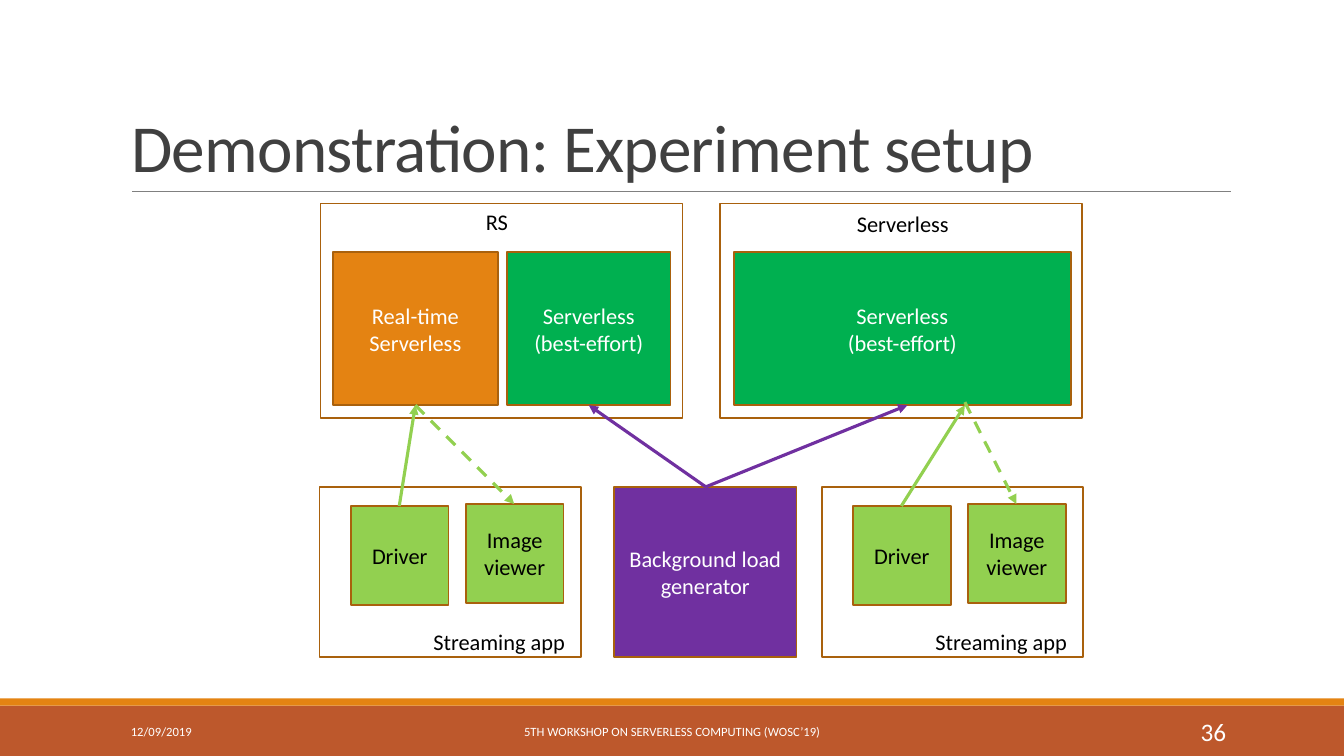
"""Build the slide that shows the experiment setup of the serverless demonstration."""
import dataclasses

import lxml.etree
import pptx
import pptx.dml.color
import pptx.enum.dml
import pptx.enum.shapes
import pptx.enum.text
import pptx.oxml.ns
import pptx.util

Inches = pptx.util.Inches
Align = pptx.enum.text.PP_ALIGN
Anchor = pptx.enum.text.MSO_ANCHOR


@dataclasses.dataclass(frozen=True)
class Theme:
    """Colours, font and type sizes of the slide."""
    font: str = "Calibri"
    white: str = "FFFFFF"
    black: str = "000000"
    ink: str = "404040"
    gray: str = "808080"
    rust: str = "BD582C"
    orange: str = "E48312"
    brown: str = "A9610D"
    green: str = "00B050"
    lime: str = "92D050"
    purple: str = "7030A0"
    head: float = 48
    page: float = 18
    label: float = 16
    foot: float = 9


def shade(code):
    """Turn a hex code into a colour."""
    return pptx.dml.color.RGBColor.from_string(code)


class Canvas:
    """Hold the theme and the current slide, and draw on it."""

    def __init__(self, theme, slide):
        """Keep the theme and the slide."""
        self.theme = theme
        self.slide = slide

    def letter(self, frame, text, size, color, align, anchor):
        """Put formatted text into a frame."""
        frame.text = text
        frame.vertical_anchor = anchor
        for line in frame.paragraphs:
            line.alignment = align
            for run in line.runs:
                run.font.name = self.theme.font
                run.font.size = pptx.util.Pt(size)
                run.font.color.rgb = shade(color)

    def title(self, text, left, top, width, height):
        """Place and format the title."""
        holder = self.slide.shapes.title
        holder.left, holder.top = Inches(left), Inches(top)
        holder.width, holder.height = Inches(width), Inches(height)
        frame = holder.text_frame
        self.letter(frame, text, self.theme.head, self.theme.ink, Align.LEFT, Anchor.BOTTOM)
        frame.auto_size = pptx.enum.text.MSO_AUTO_SIZE.NONE
        line = frame.paragraphs[0]
        line.line_spacing = 0.85
        line.runs[0].font._element.set("spc", "-50")

    def box(self, left, top, width, height, fill=None, edge=None, text="", color=None):
        """Draw a rectangle, with centred text if any is given."""
        shape = self.slide.shapes.add_shape(
            pptx.enum.shapes.MSO_SHAPE.RECTANGLE,
            Inches(left), Inches(top), Inches(width), Inches(height))
        shape.shadow.inherit = False
        if fill:
            shape.fill.solid()
            shape.fill.fore_color.rgb = shade(fill)
        else:
            shape.fill.background()
        if edge:
            shape.line.color.rgb = shade(edge)
            shape.line.width = pptx.util.Pt(1.25)
        else:
            shape.line.fill.background()
        if text:
            self.letter(shape.text_frame, text, self.theme.label,
                        color or self.theme.white, Align.CENTER, Anchor.MIDDLE)

    def label(self, text, left, top, width, height, size=None, color=None,
              align=Align.LEFT, anchor=Anchor.TOP, wrap=False):
        """Add a text box."""
        frame = self.slide.shapes.add_textbox(
            Inches(left), Inches(top), Inches(width), Inches(height)).text_frame
        frame.word_wrap = wrap
        self.letter(frame, text, size or self.theme.label,
                    color or self.theme.black, align, anchor)

    def line(self, start, end, color, weight=2.25, arrow=True, dashed=False):
        """Draw a straight line, with an arrowhead at its end by default."""
        link = self.slide.shapes.add_connector(
            pptx.enum.shapes.MSO_CONNECTOR.STRAIGHT,
            *(Inches(value) for value in (*start, *end)))
        link.line.color.rgb = shade(color)
        link.line.width = pptx.util.Pt(weight)
        if dashed:
            link.line.dash_style = pptx.enum.dml.MSO_LINE.DASH
        qn = pptx.oxml.ns.qn
        if arrow:
            lxml.etree.SubElement(link.line._get_or_add_ln(), qn("a:tailEnd"), type="triangle")
        lxml.etree.SubElement(link._element.spPr, qn("a:effectLst"))


def frame(canvas):
    """Draw the title, its rule and the footer."""
    theme = canvas.theme
    canvas.box(0, 7, 13.33, 0.5, theme.rust)
    canvas.box(0, 6.93, 13.33, 0.07, theme.orange)
    canvas.line((1.31, 1.9), (12.21, 1.9), theme.gray, 0.5, arrow=False)
    canvas.title("Demonstration: Experiment setup", 1.2, 0.31, 11, 1.59)
    for text, left, width, size, align in (
            ("12/09/2019", 1.2, 2.7, theme.foot, Align.LEFT),
            ("5TH WORKSHOP ON SERVERLESS COMPUTING (WOSC’19)", 4.03, 5.27,
             theme.foot, Align.CENTER),
            ("36", 10.83, 1.43, theme.page, Align.RIGHT)):
        canvas.label(text, left, 7.06, width, 0.4, size, theme.white,
                     align, Anchor.MIDDLE, True)


def servers(canvas):
    """Draw the two platforms on top."""
    theme = canvas.theme
    for left in (3.18, 7.14):
        canvas.box(left, 2.02, 3.59, 2.13, edge=theme.brown)
    canvas.label("RS", 4.72, 2.02, 0.43, 0.37)
    canvas.label("Serverless", 8.4, 2.04, 1.13, 0.37)
    effort = "Serverless\n(best-effort)"
    for text, left, width, fill in (
            ("Real-time Serverless", 3.3, 1.64, theme.orange),
            (effort, 5.03, 1.62, theme.green),
            (effort, 7.28, 3.34, theme.green)):
        canvas.box(left, 2.5, width, 1.52, fill, theme.brown, text)


def client(canvas, left, target, back):
    """Draw a streaming app and its arrows to and from a platform."""
    theme = canvas.theme
    canvas.box(left, 4.83, 2.59, 1.69, edge=theme.brown)
    for text, shift, top in (("Driver", 0.31, 5.02), ("Image viewer", 1.45, 5)):
        canvas.box(left + shift, top, 0.97, 0.98, theme.lime, theme.brown, text, theme.black)
    canvas.label("Streaming app", left + 1.03, 6.18, 1.52, 0.37)
    canvas.line((left + 0.79, 5.02), (target, 4.02), theme.lime)
    canvas.line((target, back), (left + 1.93, 5), theme.lime, dashed=True)


def main():
    """Build and save the deck."""
    deck = pptx.Presentation()
    deck.slide_width, deck.slide_height = Inches(13.33), Inches(7.5)
    theme = Theme()
    canvas = Canvas(theme, deck.slides.add_slide(deck.slide_layouts[5]))
    frame(canvas)
    servers(canvas)
    canvas.box(6.09, 4.83, 1.81, 1.69, theme.purple, theme.brown, "Background load generator")
    for target in (9, 5.84):
        canvas.line((7, 4.83), (target, 4.02), theme.purple)
    client(canvas, 3.17, 4.12, 4.02)
    client(canvas, 8.15, 9.57, 3.99)
    deck.save("out.pptx")


if __name__ == "__main__":
    main()
